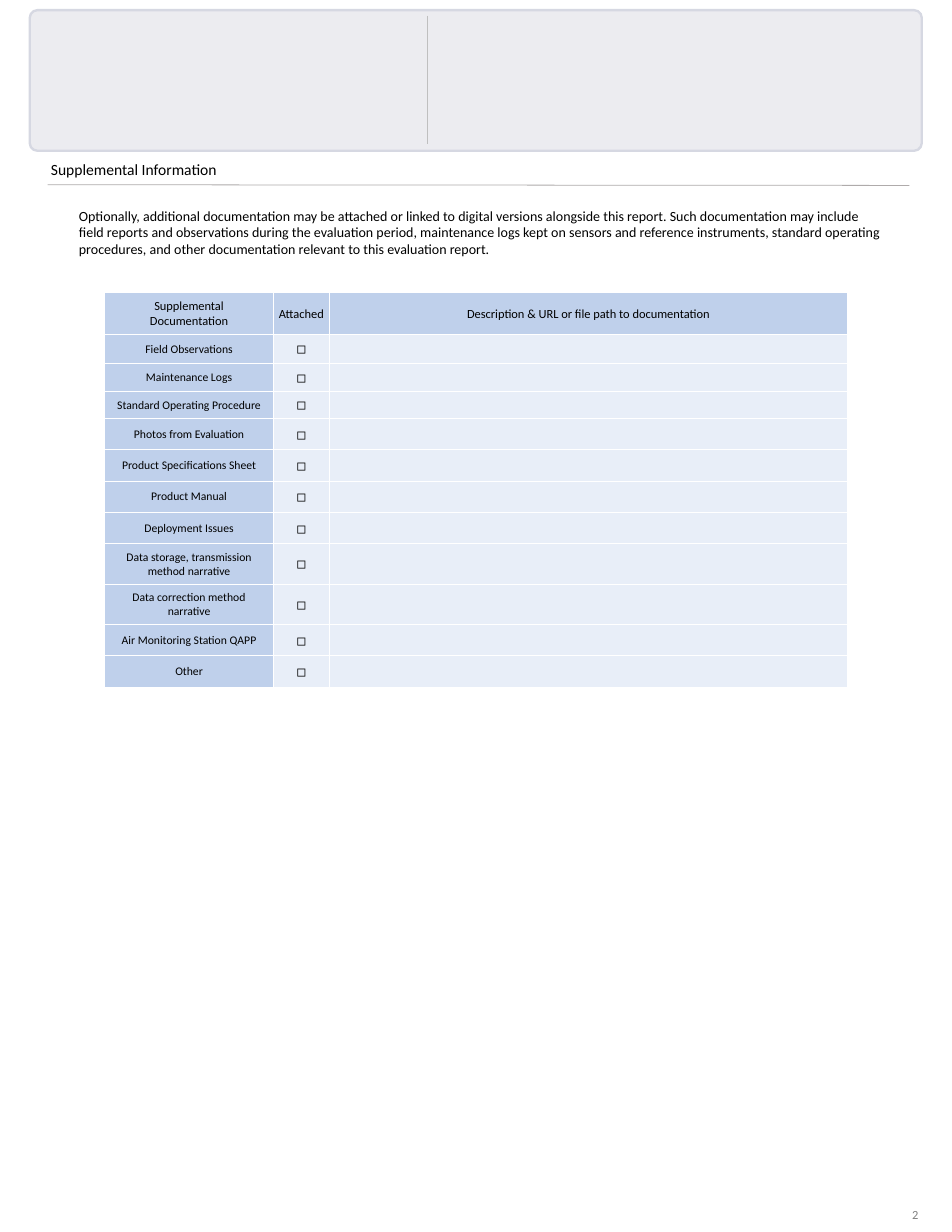
from lxml import etree
from pptx import Presentation
from pptx.dml.color import RGBColor
from pptx.enum.shapes import MSO_CONNECTOR, MSO_SHAPE
from pptx.enum.text import MSO_ANCHOR, PP_ALIGN
from pptx.oxml.ns import qn
from pptx.util import Cm, Pt

STRAIGHT = MSO_CONNECTOR.STRAIGHT
ROUNDED = MSO_SHAPE.ROUNDED_RECTANGLE
MIDDLE = MSO_ANCHOR.MIDDLE
CENTER = PP_ALIGN.CENTER

FONT = "Calibri"
BLACK = RGBColor(0x00, 0x00, 0x00)
WHITE = RGBColor(0xFF, 0xFF, 0xFF)
PAGE_GREY = RGBColor(0x80, 0x80, 0x80)
BANNER_FILL = RGBColor(0xEC, 0xEC, 0xF0)
BANNER_EDGE = RGBColor(0xD6, 0xD8, 0xE2)
DIVIDER_GREY = RGBColor(0xBF, 0xBF, 0xBF)
RULE_GREY = RGBColor(0xAF, 0xAB, 0xAB)
HEADING_BLUE = RGBColor(0xBF, 0xD0, 0xEB)
BODY_BLUE = RGBColor(0xE8, 0xEE, 0xF8)

INTRODUCTION = (
    "Optionally, additional documentation may be attached or linked to digital "
    "versions alongside this report. Such documentation may include field reports "
    "and observations during the evaluation period, maintenance logs kept on sensors "
    "and reference instruments, standard operating procedures, and other "
    "documentation relevant to this evaluation report."
)
HEADINGS = [
    "Supplemental Documentation",
    "Attached",
    "Description & URL or file path to documentation",
]
HEADING_HEIGHT = 1.88
DOCUMENTS = [
    ("Field Observations", 1.32),
    ("Maintenance Logs", 1.27),
    ("Standard Operating Procedure", 1.22),
    ("Photos from Evaluation", 1.42),
    ("Product Specifications Sheet", 1.42),
    ("Product Manual", 1.42),
    ("Deployment Issues", 1.42),
    ("Data storage, transmission method narrative", 1.83),
    ("Data correction method narrative", 1.83),
    ("Air Monitoring Station QAPP", 1.42),
    ("Other", 1.42),
]
COLUMN_WIDTHS = [7.65, 2.54, 23.5]
CHECKBOX = "◻"


def add_span(para, text, size, color=BLACK):
    span = para.add_run()
    span.text = text
    span.font.name = FONT
    span.font.size = Pt(size)
    span.font.color.rgb = color


def add_text(page, box, text, size, color=BLACK, wrap=True, indent=None):
    frame = page.shapes.add_textbox(*map(Cm, box)).text_frame
    frame.word_wrap = wrap
    para = frame.paragraphs[0]
    if indent is not None:
        para._p.get_or_add_pPr().set("marL", str(Cm(indent)))
    add_span(para, text, size, color)


def add_line(page, start, end, color):
    line = page.shapes.add_connector(STRAIGHT, *map(Cm, start + end))
    line.line.color.rgb = color
    line.line.width = Pt(1)
    etree.SubElement(line._element.spPr, qn("a:effectLst"))


def add_banner(page, box):
    left, top, width, height = box
    panel = page.shapes.add_shape(ROUNDED, *map(Cm, box))
    panel.adjustments[0] = 0.055
    panel.shadow.inherit = False
    panel.fill.solid()
    panel.fill.fore_color.rgb = BANNER_FILL
    panel.line.color.rgb = BANNER_EDGE
    panel.line.width = Pt(3)
    divider = left + 18.03
    add_line(page, (divider, top + 0.25), (divider, top + height - 0.3), DIVIDER_GREY)


def add_section(page, box):
    """Place the section title, the rule below it and the introduction."""
    left, top, width, height = box
    add_text(page, (left, top, 8.03, 1.12), "Supplemental Information", 20, wrap=False)
    add_line(page, (left + 0.1, top + 1.24), (left + 39.19, top + 1.27), RULE_GREY)
    add_text(page, (left, top + 2.13, width, height - 2.13), INTRODUCTION, 18, indent=1.27)


def outline_cell(cell):
    properties = cell._tc.get_or_add_tcPr()
    for side in ("lnL", "lnR", "lnT", "lnB"):
        edge = etree.SubElement(properties, qn("a:" + side), w=str(Pt(1.5)))
        fill = etree.SubElement(edge, qn("a:solidFill"))
        etree.SubElement(fill, qn("a:srgbClr"), val=str(WHITE))


def style_cell(cell, color, roomy):
    outline_cell(cell)
    cell.fill.solid()
    cell.fill.fore_color.rgb = color
    cell.vertical_anchor = MIDDLE
    cell.margin_left = cell.margin_right = Cm(0.56 if roomy else 0.05)
    cell.margin_top = Cm(0.28 if roomy else 0.05)
    cell.margin_bottom = Cm(0.28 if roomy else 0)


def add_document_table(page, box):
    rows = [HEADINGS] + [[name, CHECKBOX, ""] for name, _ in DOCUMENTS]
    heights = [HEADING_HEIGHT] + [height for _, height in DOCUMENTS]
    table = page.shapes.add_table(len(rows), len(HEADINGS), *map(Cm, box)).table
    table.first_row = table.horz_banding = False
    for column, width in zip(table.columns, COLUMN_WIDTHS):
        column.width = Cm(width)
    for row_index, (texts, height) in enumerate(zip(rows, heights)):
        table.rows[row_index].height = Cm(height)
        for column_index, text in enumerate(texts):
            cell = table.cell(row_index, column_index)
            is_heading = row_index == 0 or column_index == 0
            style_cell(cell, HEADING_BLUE if is_heading else BODY_BLUE, column_index == 0)
            if text:
                para = cell.text_frame.paragraphs[0]
                para.alignment = CENTER
                size = 16 if row_index == 0 else 15 if column_index == 0 else 20
                add_span(para, text, size)


def main():
    deck = Presentation()
    deck.slide_width, deck.slide_height = Cm(43.18), Cm(55.88)
    page = deck.slides.add_slide(deck.slide_layouts[6])
    add_banner(page, (1.35, 0.46, 40.46, 6.38))
    add_section(page, (2.06, 7.14, 38.15, 5.38))
    add_document_table(page, (4.75, 13.26, sum(COLUMN_WIDTHS), 17.91))
    add_text(page, (41.12, 54.61, 2.06, 1.27), "2", 16, PAGE_GREY)
    deck.save("out.pptx")


if __name__ == "__main__":
    main()
